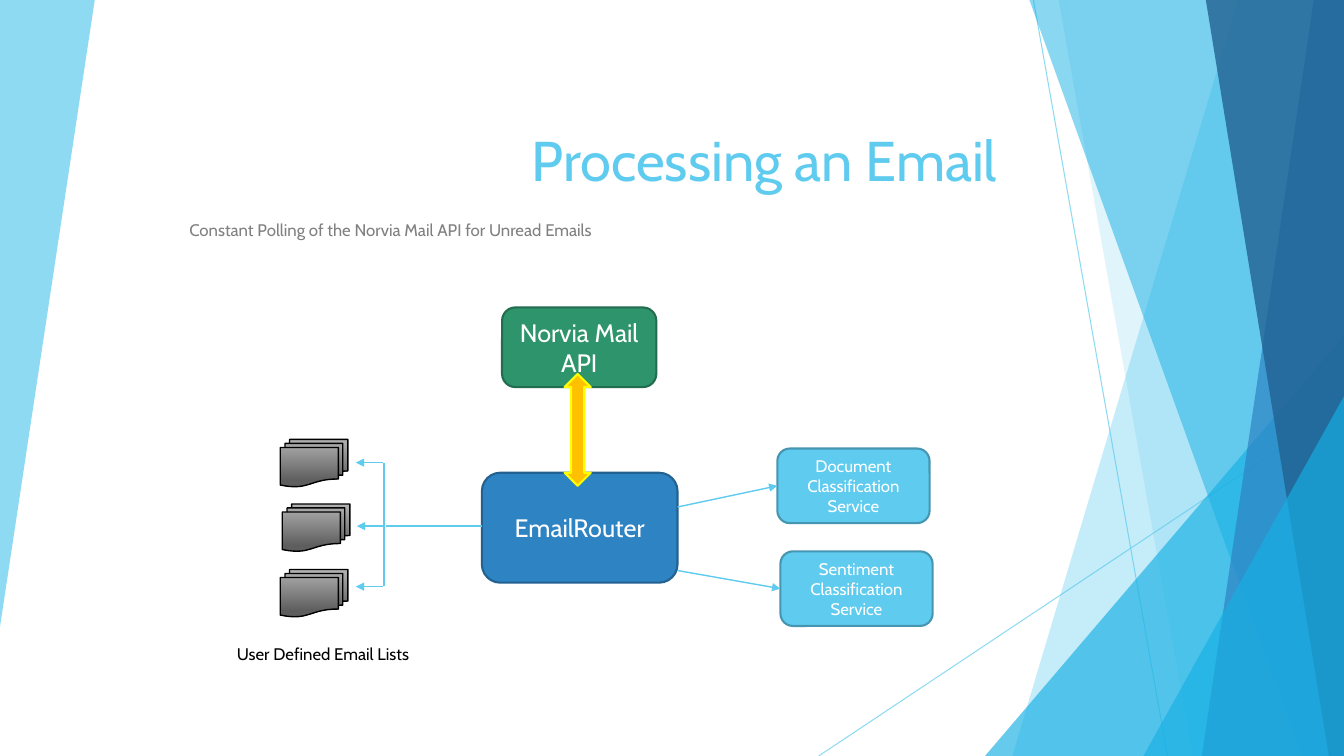
"""Build the slide that shows how an email is processed."""
from dataclasses import dataclass

from lxml.etree import SubElement
from pptx import Presentation
from pptx.dml.color import RGBColor
from pptx.enum.shapes import MSO_CONNECTOR, MSO_SHAPE
from pptx.enum.text import MSO_ANCHOR, MSO_AUTO_SIZE, PP_ALIGN
from pptx.oxml.ns import qn
from pptx.util import Inches, Pt

FONT = "Cabin"
WIDTH, HEIGHT = 13.33, 7.5
SKY = RGBColor(0x5F, 0xCB, 0xEF)
SKY_EDGE = RGBColor(0x46, 0x96, 0xB1)
CYAN = RGBColor(0x17, 0xB0, 0xE4)
BLUE = RGBColor(0x2E, 0x83, 0xC3)
BLUE_EDGE = RGBColor(0x22, 0x61, 0x90)
NAVY = RGBColor(0x22, 0x62, 0x92)
GREEN = RGBColor(0x2E, 0x94, 0x6B)
GREEN_EDGE = RGBColor(0x22, 0x6D, 0x4F)
AMBER = RGBColor(0xFF, 0xC0, 0x00)
YELLOW = RGBColor(0xFF, 0xFF, 0x00)
LIGHT_GRAY = RGBColor(0xB2, 0xB2, 0xB2)
DARK_GRAY = RGBColor(0x5E, 0x5E, 0x5E)
TEXT_GRAY = RGBColor(0x80, 0x80, 0x80)
BLACK = RGBColor(0, 0, 0)
WHITE = RGBColor(0xFF, 0xFF, 0xFF)


@dataclass
class Facet:
    points: list
    color: RGBColor
    opacity: int


@dataclass
class Box:
    text: str
    left: float
    top: float
    width: float
    height: float
    fill: RGBColor
    edge: RGBColor
    size: int


@dataclass
class Line:
    start: tuple
    end: tuple
    arrow: bool = False
    weight: float = 1
    opacity: int = 100


def right_facet(top: float, bottom: float, color: RGBColor, opacity: int) -> Facet:
    """Describe a full-height facet that reaches the right edge."""
    return Facet([(top, 0), (WIDTH, 0), (WIDTH, HEIGHT), (bottom, HEIGHT)], color, opacity)


def corner_facet(left: float, top: float) -> Facet:
    """Describe a triangle in the lower right corner."""
    return Facet([(left, HEIGHT), (WIDTH, top), (WIDTH, HEIGHT)], CYAN, 66)


BACKGROUND_LINES = [
    Line((10.25, 0), (11.58, HEIGHT), weight=0.75, opacity=70),
    Line((WIDTH, 4.03), (8.12, HEIGHT), weight=0.75, opacity=70),
]
FACETS = [
    Facet([(0, 0), (0.94, 0), (0, 6.22)], SKY, 70),
    right_facet(12.28, 10.04, SKY, 36),
    right_facet(10.5, 11.83, SKY, 20),
    corner_facet(9.77, 3.33),
    right_facet(10.21, 12.91, CYAN, 50),
    right_facet(13.03, 11.92, BLUE, 70),
    right_facet(11.96, 13.18, NAVY, 80),
    corner_facet(11.34, 3.93),
]
BOXES = [
    Box("EmailRouter", 4.78, 4.69, 1.94, 1.09, BLUE, BLUE_EDGE, 18),
    Box("Document Classification Service", 7.71, 4.45, 1.51, 0.74, SKY, SKY_EDGE, 12),
    Box("Sentiment Classification Service", 7.74, 5.47, 1.51, 0.74, SKY, SKY_EDGE, 12),
    Box("Norvia Mail API", 4.98, 3.05, 1.53, 0.79, GREEN, GREEN_EDGE, 18),
]
EMAIL_LISTS = [(2.78, 4.36), (2.8, 5), (2.78, 5.65)]
FLOW_LINES = [
    Line((6.72, 5.03), (7.71, 4.82), arrow=True),
    Line((6.72, 5.66), (7.74, 5.84), arrow=True),
    Line((3.81, 4.59), (3.81, 5.81)),
    Line((4.78, 5.22), (3.83, 5.22)),
    Line((3.8, 4.59), (3.53, 4.59), arrow=True),
    Line((3.8, 5.22), (3.54, 5.22), arrow=True),
    Line((3.8, 5.82), (3.53, 5.82), arrow=True),
]


def set_opacity(shape, percent: int) -> None:
    """Make the colours of a shape partly transparent."""
    for color in shape.element.spPr.iter(qn("a:srgbClr")):
        SubElement(color, qn("a:alpha")).set("val", str(percent * 1000))


def set_text(shape, text: str, size: int, color: RGBColor, align, anchor) -> None:
    """Write one formatted paragraph in a shape."""
    frame = shape.text_frame
    frame.text = text
    frame.word_wrap = True
    frame.auto_size = MSO_AUTO_SIZE.NONE
    frame.vertical_anchor = anchor
    paragraph = frame.paragraphs[0]
    paragraph.alignment = align
    font = paragraph.runs[0].font
    font.name, font.size, font.color.rgb = FONT, Pt(size), color


def add_facet(slide, facet: Facet) -> None:
    """Draw one transparent background polygon."""
    points = [(Inches(x), Inches(y)) for x, y in facet.points]
    builder = slide.shapes.build_freeform(*points[0])
    builder.add_line_segments(points[1:])
    shape = builder.convert_to_shape()
    shape.shadow.inherit = False
    shape.fill.solid()
    shape.fill.fore_color.rgb = facet.color
    shape.line.fill.background()
    set_opacity(shape, facet.opacity)


def add_line(slide, line: Line) -> None:
    """Draw a straight line, with an arrowhead at its end if wanted."""
    connector = slide.shapes.add_connector(
        MSO_CONNECTOR.STRAIGHT, *map(Inches, line.start + line.end))
    connector.line.color.rgb = SKY
    connector.line.width = Pt(line.weight)
    properties = connector.element.spPr
    if line.opacity < 100:
        set_opacity(connector, line.opacity)
    if line.arrow:
        SubElement(properties.find(qn("a:ln")), qn("a:tailEnd")).set("type", "triangle")
    SubElement(properties, qn("a:effectLst"))


def add_preset(slide, preset, bounds: tuple, edge: RGBColor, weight: float):
    """Add an outlined preset shape without shadow."""
    shape = slide.shapes.add_shape(preset, *map(Inches, bounds))
    shape.shadow.inherit = False
    shape.line.color.rgb = edge
    shape.line.width = Pt(weight)
    return shape


def add_box(slide, box: Box) -> None:
    """Draw a rounded box with its label."""
    bounds = (box.left, box.top, box.width, box.height)
    shape = add_preset(slide, MSO_SHAPE.ROUNDED_RECTANGLE, bounds, box.edge, 1.5)
    shape.fill.solid()
    shape.fill.fore_color.rgb = box.fill
    set_text(shape, box.text, box.size, WHITE, PP_ALIGN.CENTER, MSO_ANCHOR.MIDDLE)


def add_email_list(slide, left: float, top: float) -> None:
    """Draw a stack of documents with a grey gradient."""
    shape = add_preset(
        slide, MSO_SHAPE.FLOWCHART_MULTIDOCUMENT, (left, top, 0.67, 0.47), BLACK, 1)
    shape.fill.gradient()
    shape.fill.gradient_angle = 270
    stops = zip(shape.fill.gradient_stops, (LIGHT_GRAY, DARK_GRAY), (0, 0.88))
    for stop, color, position in stops:
        stop.color.rgb = color
        stop.position = position


def add_label(slide, text: str, bounds: tuple, color: RGBColor):
    """Add a left-aligned text box."""
    label = slide.shapes.add_textbox(*map(Inches, bounds))
    set_text(label, text, 12, color, PP_ALIGN.LEFT, MSO_ANCHOR.TOP)
    return label


def main() -> None:
    """Build and save the presentation."""
    presentation = Presentation()
    presentation.slide_width, presentation.slide_height = Inches(WIDTH), Inches(HEIGHT)
    slide = presentation.slides.add_slide(presentation.slide_layouts[5])

    title = slide.shapes.title
    title.left, title.top, title.width, title.height = map(Inches, (1.5, 0.16, 8.49, 1.8))
    set_text(title, "Processing an Email", 40, SKY, PP_ALIGN.RIGHT, MSO_ANCHOR.BOTTOM)

    for line in BACKGROUND_LINES:
        add_line(slide, line)
    for facet in FACETS:
        add_facet(slide, facet)
    for box in BOXES:
        add_box(slide, box)
    for left, top in EMAIL_LISTS:
        add_email_list(slide, left, top)
    for line in FLOW_LINES:
        add_line(slide, line)

    add_label(slide, "User Defined Email Lists", (2.25, 6.34, 2.05, 0.3), BLACK)
    subtitle = add_label(slide, "Constant Polling of the Norvia Mail API for Unread Emails",
                         (1.78, 2.13, 8.49, 0.84), TEXT_GRAY)
    subtitle.text_frame.paragraphs[0].space_before = Pt(10)

    exchange = add_preset(slide, MSO_SHAPE.UP_DOWN_ARROW, (5.6, 3.71, 0.26, 1.11), YELLOW, 1.5)
    exchange.fill.solid()
    exchange.fill.fore_color.rgb = AMBER
    presentation.save("out.pptx")


if __name__ == "__main__":
    main()
